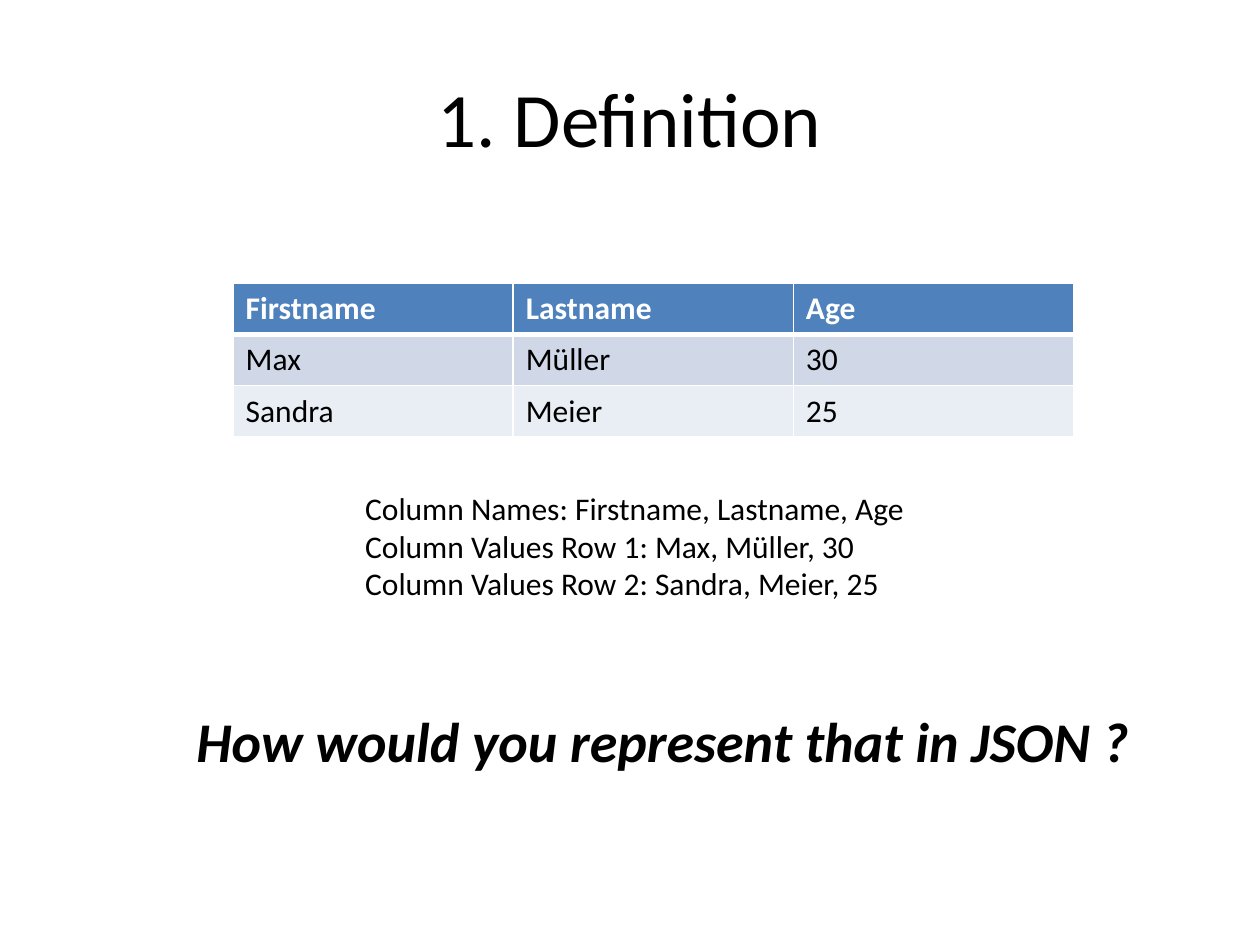
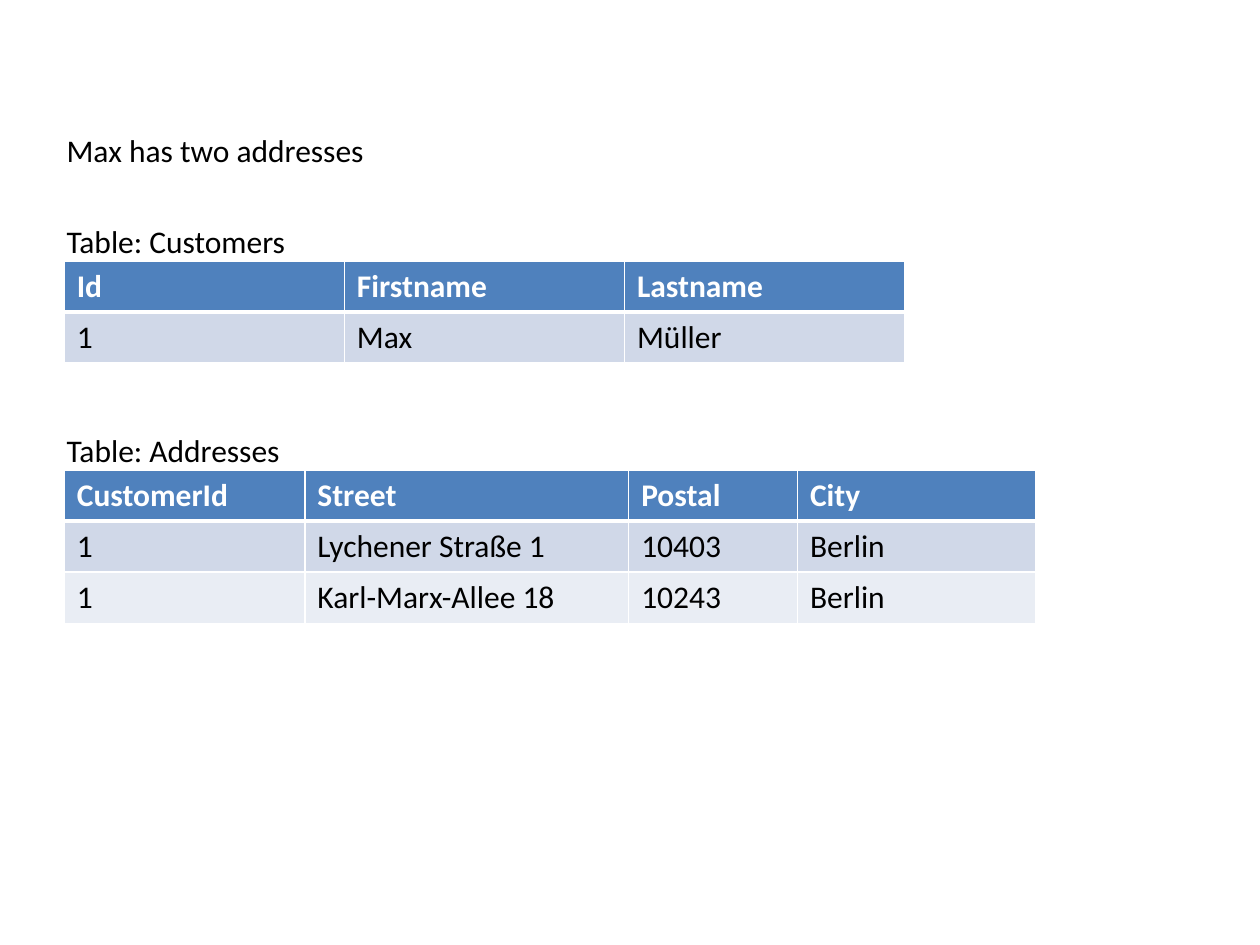
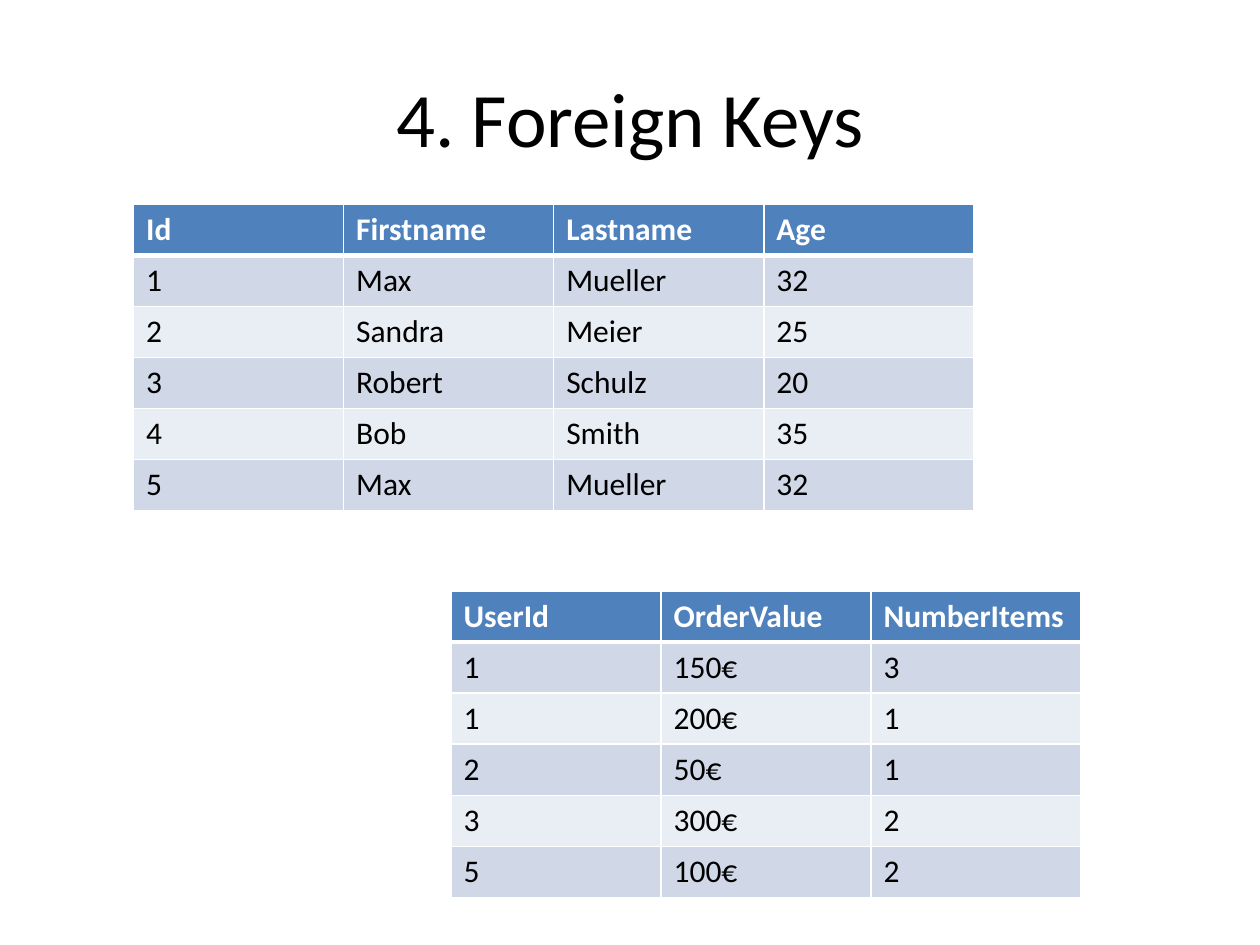
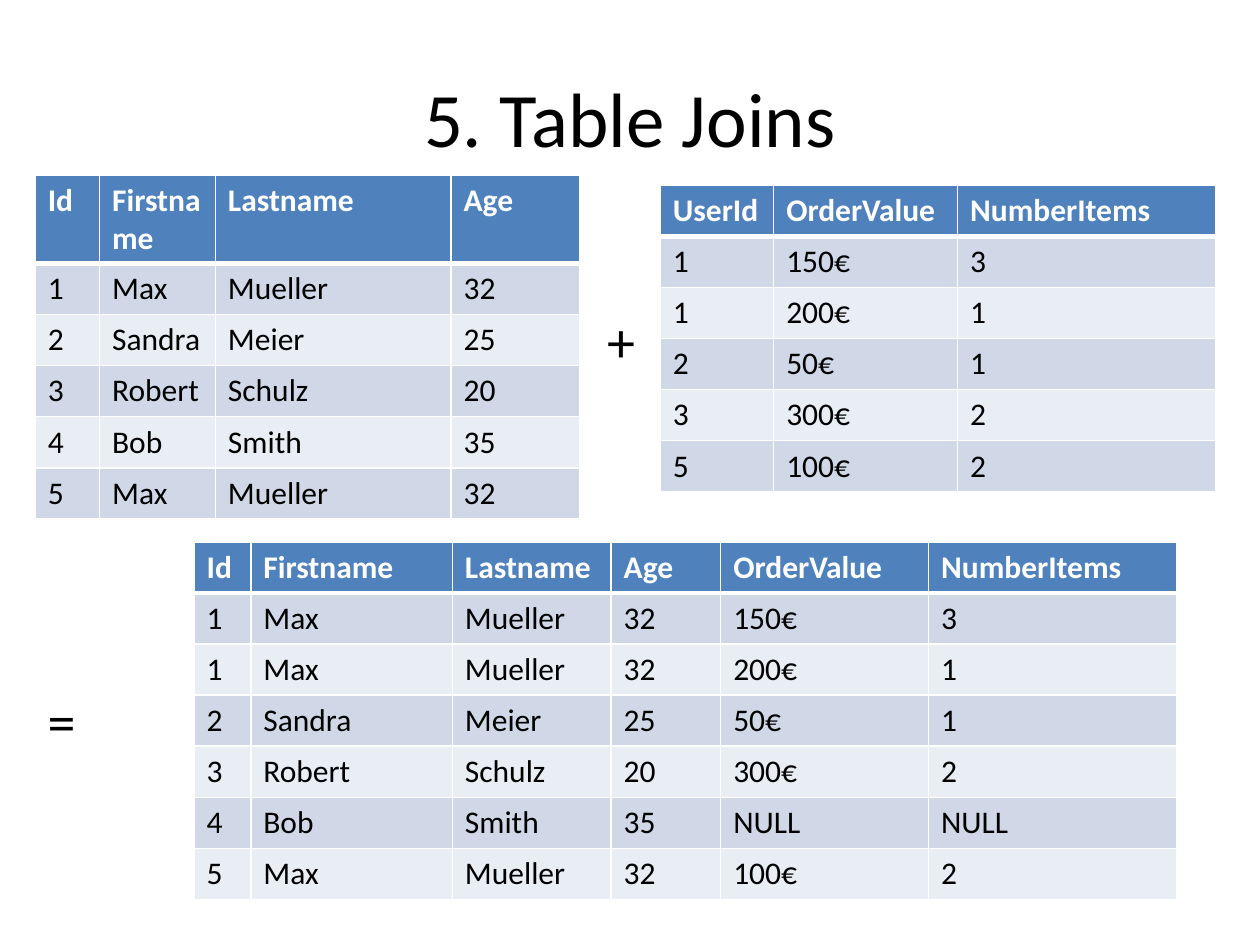
"""Build four slides on relational tables, foreign keys and joins."""
from lxml import etree
from pptx import Presentation
from pptx.dml.color import RGBColor
from pptx.enum.text import MSO_ANCHOR, MSO_AUTO_SIZE, PP_ALIGN
from pptx.oxml.ns import qn
from pptx.util import Inches, Pt

CENTER, LEFT = PP_ALIGN.CENTER, PP_ALIGN.LEFT
MIDDLE, TOP = MSO_ANCHOR.MIDDLE, MSO_ANCHOR.TOP
GROW, FIXED = MSO_AUTO_SIZE.SHAPE_TO_FIT_TEXT, MSO_AUTO_SIZE.NONE

BLACK = RGBColor(0x00, 0x00, 0x00)
WHITE = RGBColor(0xFF, 0xFF, 0xFF)
HEADER_BLUE = RGBColor(0x4F, 0x81, 0xBD)
BAND_DARK = RGBColor(0xD0, 0xD8, 0xE8)
BAND_LIGHT = RGBColor(0xE9, 0xED, 0xF4)

FONT = "Calibri"
BODY_SIZE, LARGE_SIZE, TITLE_SIZE = 18, 32, 44
THIN, THICK = Pt(1), Pt(3)
ROW_HEIGHT = Pt(29.2)

deck = Presentation()
deck.slide_width, deck.slide_height = Inches(10), Inches(7.5)
UNIT = deck.slide_width // 10


def add_text(page, area, lines, size=BODY_SIZE, strong=None, wrap=False, title=False):
    """Write lines into a box whose area is given in tenths of the slide width."""
    box = page.shapes.add_textbox(*(int(length * UNIT) for length in area))
    frame = box.text_frame
    frame.word_wrap = wrap
    frame.auto_size = FIXED if title else GROW
    frame.vertical_anchor = MIDDLE if title else TOP
    frame.text = "\n".join(lines)
    for para in frame.paragraphs:
        para.alignment = CENTER if title else LEFT
        font = para.font
        font.name, font.size, font.color.rgb = FONT, Pt(size), BLACK
        font.bold = font.italic = strong


def add_grid(page, left, top, widths, records):
    """Draw a banded table with a blue header and white rules."""
    frame = page.shapes.add_table(
        len(records), len(widths), int(left * UNIT), int(top * UNIT),
        int(sum(widths) * UNIT), ROW_HEIGHT * len(records))
    table = frame.table
    for column, width in zip(table.columns, widths):
        column.width = int(width * UNIT)
    for index, record in enumerate(records):
        table.rows[index].height = ROW_HEIGHT
        header = index == 0
        band = BAND_DARK if index % 2 else BAND_LIGHT
        edges = {"lnL": THIN, "lnR": THIN,
                 "lnT": THICK if index == 1 else THIN,
                 "lnB": THICK if header else THIN}
        for position, value in enumerate(record):
            cell = table.cell(index, position)
            cell.text = value
            font = cell.text_frame.paragraphs[0].font
            font.name, font.size, font.bold = FONT, Pt(BODY_SIZE), header
            font.color.rgb = WHITE if header else BLACK
            properties = cell._tc.get_or_add_tcPr()
            for tag, weight in edges.items():
                line = etree.SubElement(properties, qn("a:" + tag), w=str(weight))
                paint = etree.SubElement(line, qn("a:solidFill"))
                etree.SubElement(paint, qn("a:srgbClr"), val=str(WHITE))
            cell.fill.solid()
            cell.fill.fore_color.rgb = HEADER_BLUE if header else band


people = [
    ("Firstname", "Lastname", "Age"),
    ("Max", "Müller", "30"),
    ("Sandra", "Meier", "25"),
]
customers = [("Id", "Firstname", "Lastname"), ("1", "Max", "Müller")]
addresses = [
    ("CustomerId", "Street", "Postal", "City"),
    ("1", "Lychener Straße 1", "10403", "Berlin"),
    ("1", "Karl-Marx-Allee 18", "10243", "Berlin"),
]
users = [
    ("Id", "Firstname", "Lastname", "Age"),
    ("1", "Max", "Mueller", "32"),
    ("2", "Sandra", "Meier", "25"),
    ("3", "Robert", "Schulz", "20"),
    ("4", "Bob", "Smith", "35"),
    ("5", "Max", "Mueller", "32"),
]
orders = [
    ("UserId", "OrderValue", "NumberItems"),
    ("1", "150€", "3"),
    ("1", "200€", "1"),
    ("2", "50€", "1"),
    ("3", "300€", "2"),
    ("5", "100€", "2"),
]
joined = [users[0] + orders[0][1:]]
for user in users[1:]:
    matches = [order[1:] for order in orders if order[0] == user[0]]
    joined += [user + match for match in matches or [("NULL", "NULL")]]

pages = []
for heading in ("1. Definition", None, "4. Foreign Keys", "5. Table Joins"):
    page = deck.slides.add_slide(deck.slide_layouts[6])
    if heading:
        add_text(page, (0.5, 0.3, 9, 1.25), [heading], TITLE_SIZE, wrap=True, title=True)
    pages.append(page)
definition, relation, keys, joins = pages
thirds = [6.67 / 3] * 3

add_grid(definition, 1.85, 2.25, thirds, people)
labels = ("Column Names", "Column Values Row 1", "Column Values Row 2")
add_text(definition, (2.8, 3.83, 4.8, 1.01),
         [f"{label}: {', '.join(record)}" for label, record in zip(labels, people)],
         wrap=True)
add_text(definition, (1.46, 5.56, 7.71, 0.64),
         ["How would you represent that in JSON ?"], LARGE_SIZE, strong=True)

add_text(relation, (0.43, 0.99, 2.59, 0.4), ["Max has two addresses"])
add_grid(relation, 0.51, 2.07, thirds, customers)
add_text(relation, (0.43, 1.71, 1.96, 0.4), ["Table: Customers"])
add_grid(relation, 0.51, 3.73, [1.91, 2.57, 1.34, 1.89], addresses)
add_text(relation, (0.43, 3.37, 1.91, 0.4), ["Table: Addresses"])

add_grid(keys, 1.06, 1.62, [6.67 / 4] * 4, users)
add_grid(keys, 3.58, 4.69, [5 / 3] * 3, orders)

add_grid(joins, 0.28, 1.39, [0.51, 0.92, 1.87, 1.02], users)
add_grid(joins, 5.24, 1.47, [0.9, 1.46, 2.05], orders)
for sign, left, top in (("+", 4.72, 2.38), ("=", 0.28, 5.4)):
    add_text(joins, (left, top, 0.43, 0.64), [sign], LARGE_SIZE)
add_grid(joins, 1.54, 4.3, [0.45, 1.6, 1.26, 0.87, 1.65, 1.97], joined)

deck.save("out.pptx")
